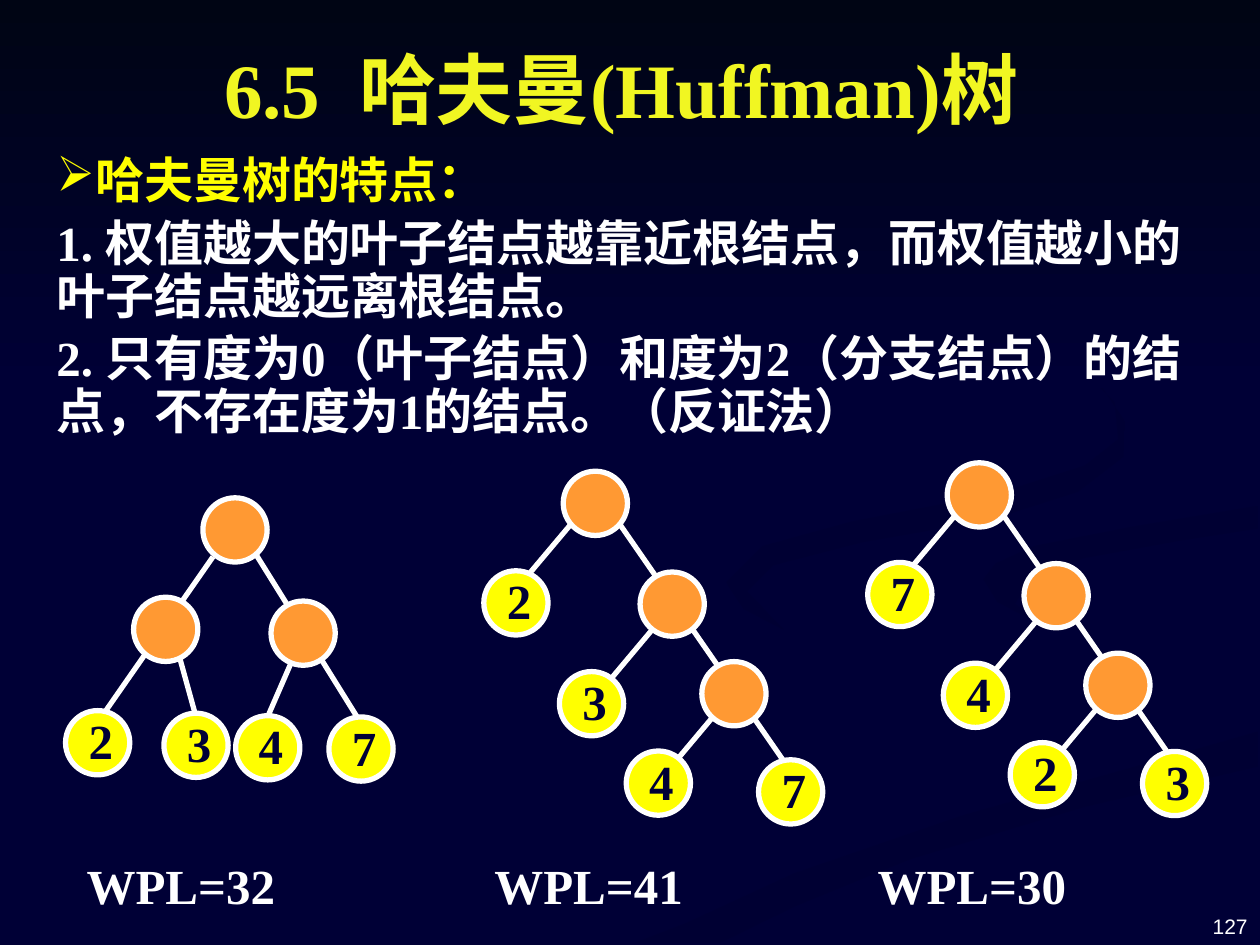
from typing import NamedTuple

from lxml.etree import SubElement
from pptx import Presentation
from pptx.dml.color import RGBColor
from pptx.enum.shapes import MSO_CONNECTOR as Connector, MSO_SHAPE as Preset
from pptx.enum.text import MSO_ANCHOR as Anchor, MSO_AUTO_SIZE as AutoSize, PP_ALIGN as Align
from pptx.oxml.ns import qn
from pptx.util import Pt

COLORS = {
    "night": "000036", "dusk": "000033", "black": "000514", "white": "FFFFFF",
    "title": "F1F622", "yellow": "FFFF00", "orange": "FF9933",
}
SERIF = "Times New Roman"
NODE_SIZE = 36.7
LABEL_WIDTH, LABEL_HEIGHT = 28.8, 41


class Point(NamedTuple):
    x: float
    y: float


class Box(NamedTuple):
    left: float
    top: float
    width: float
    height: float

    def lengths(self):
        return [Pt(value) for value in self]


class Edge(NamedTuple):
    start: Point
    end: Point


class TreeShape(NamedTuple):
    branches: list[Point]
    leaves: list[Point]
    edges: list[Edge]


class Tree(NamedTuple):
    shape: TreeShape
    weights: str
    offset: Point


class Ribbon(NamedTuple):
    first: str
    last: str
    angle: int
    outline: list[tuple[float, float]]


BALANCED = TreeShape(
    [Point(134.3, 302.8), Point(94.7, 359.6), Point(173.2, 361.8)],
    [Point(55.8, 424.4), Point(112, 425.9), Point(153, 427.3), Point(206.3, 428)],
    [Edge(Point(140.4, 307.4), Point(204.5, 410.4)),
     Edge(Point(169.2, 372.2), Point(152.6, 410.4)),
     Edge(Point(100.1, 366.5), Point(111.6, 408.2)),
     Edge(Point(121.7, 318.2), Point(60.5, 406.1))],
)
CHAIN = TreeShape(
    [Point(340.2, 287.6), Point(384.1, 345.2), Point(419.4, 396.4)],
    [Point(294.8, 344.5), Point(338, 402.1), Point(376.2, 447.5), Point(451.8, 452.5)],
    [Edge(Point(330.5, 294.5), Point(300.2, 330.5)),
     Edge(Point(378, 353.5), Point(347.8, 389.5)),
     Edge(Point(414, 401.8), Point(383.8, 437.8)),
     Edge(Point(342.7, 283), Point(449.3, 437))],
)
TREES = [
    Tree(BALANCED, "2347", Point(0, 0)),
    Tree(CHAIN, "2347", Point(0, 0)),
    Tree(CHAIN, "7423", Point(219.4, -4.8)),
]
RIBBONS = [
    Ribbon("night", "dusk", 0, [
        (562, 398), (526, 384), (476, 369), (433, 353), (415, 338), (414, 330), (410, 340),
        (422, 351), (454, 364), (514, 382), (559, 398), (566, 408), (557, 420), (523, 433),
        (444, 453), (359, 475), (271, 509), (216, 539), (260, 539), (336, 504), (428, 472),
        (533, 445), (570, 433), (576, 418)]),
    Ribbon("night", "dusk", 45, [
        (679, 410), (670, 398), (639, 385), (584, 370), (536, 353), (521, 334), (528, 351),
        (562, 373), (603, 386), (648, 401), (661, 418), (644, 436), (675, 424)]),
    Ribbon("dusk", "night", 90, [
        (362, 539), (411, 539), (454, 518), (520, 491), (620, 461), (719, 438), (719, 418),
        (663, 434), (550, 466), (454, 499), (391, 528)]),
    Ribbon("dusk", "night", 45, [
        (562, 331), (570, 344), (595, 357), (580, 345), (588, 332), (619, 319), (674, 309),
        (719, 302), (719, 289), (647, 301), (591, 312), (569, 322)]),
    Ribbon("dusk", "night", 45, [
        (492, 310), (566, 297), (616, 281), (642, 261), (643, 241), (622, 210), (575, 180),
        (549, 168), (609, 201), (637, 230), (639, 251), (620, 266), (570, 282), (487, 298),
        (436, 312), (415, 333), (425, 348), (448, 360), (427, 338), (442, 323)]),
    Ribbon("black", "night", 90, [(0, 0), (0, 222), (720, 222), (720, 0)]),
]


def color(name: str) -> RGBColor:
    return RGBColor.from_string(COLORS[name])


def draw_ribbon(page, ribbon: Ribbon) -> None:
    points = [(Pt(x), Pt(y)) for x, y in ribbon.outline]
    builder = page.shapes.build_freeform(*points[0], scale=1.0)
    builder.add_line_segments(points[1:], close=True)
    shape = builder.convert_to_shape()
    shape.shadow.inherit = False
    shape.line.fill.background()
    shape.fill.gradient()
    shape.fill.gradient_angle = (360 - ribbon.angle) % 360
    for stop, name in zip(shape.fill.gradient_stops, (ribbon.first, ribbon.last)):
        stop.color.rgb = color(name)


def style_para(para, name: str, size: float = 28, font: str = SERIF, bold: bool = True) -> None:
    for span in para.runs:
        span.font.name = font
        span.font.size = Pt(size)
        span.font.bold = bold
        span.font.color.rgb = color(name)


def add_text(page, place: Box, text: str, wrap: bool = True, anchor=Anchor.TOP):
    frame = page.shapes.add_textbox(*place.lengths()).text_frame
    frame.word_wrap = wrap
    frame.vertical_anchor = anchor
    frame.text = text
    return frame


def draw_edge(page, edge: Edge, offset: Point) -> None:
    ends = [Pt(value + shift) for point in edge for value, shift in zip(point, offset)]
    line = page.shapes.add_connector(Connector.STRAIGHT, *ends)
    line.line.color.rgb = color("white")
    line.line.width = Pt(3)
    SubElement(line._element.spPr, qn("a:effectLst"))


def draw_node(page, center: Point, offset: Point, fill: str) -> None:
    left, top = (value + shift - NODE_SIZE / 2 for value, shift in zip(center, offset))
    node = page.shapes.add_shape(Preset.OVAL, *Box(left, top, NODE_SIZE, NODE_SIZE).lengths())
    node.shadow.inherit = False
    node.fill.solid()
    node.fill.fore_color.rgb = color(fill)
    node.line.color.rgb = color("white")
    node.line.width = Pt(3)


def draw_tree(page, tree: Tree) -> None:
    for edge in tree.shape.edges:
        draw_edge(page, edge, tree.offset)
    for center in tree.shape.branches:
        draw_node(page, center, tree.offset, "orange")
    for center, weight in zip(tree.shape.leaves, tree.weights):
        draw_node(page, center, tree.offset, "yellow")
        place = Box(center.x + tree.offset.x + 1.8 - LABEL_WIDTH / 2,
                    center.y + tree.offset.y - 1.4 - LABEL_HEIGHT / 2,
                    LABEL_WIDTH, LABEL_HEIGHT)
        para = add_text(page, place, weight, wrap=False, anchor=Anchor.MIDDLE).paragraphs[0]
        para.alignment = Align.CENTER
        style_para(para, "night")


def write_title(page) -> None:
    title = page.shapes.title
    title.left, title.top, title.width, title.height = Box(31, 11.5, 648, 77).lengths()
    frame = title.text_frame
    frame.auto_size = AutoSize.NONE
    frame.vertical_anchor = Anchor.MIDDLE
    frame.text = "6.5  哈夫曼(Huffman)树"
    frame.paragraphs[0].alignment = Align.CENTER
    style_para(frame.paragraphs[0], "title", size=44)


def write_features(page) -> None:
    frame = add_text(page, Box(25.2, 85.7, 671.8, 172), "\n".join([
        "哈夫曼树的特点：",
        "1. 权值越大的叶子结点越靠近根结点，而权值越小的叶子结点越远离根结点。",
        "2. 只有度为0（叶子结点）和度为2（分支结点）的结点，不存在度为1的结点。（反证法）",
    ]))
    for para, name in zip(frame.paragraphs, ("yellow", "white", "white")):
        para.line_spacing = 0.9
        para.space_before = Pt(5.6)
        style_para(para, name)
    SubElement(frame.paragraphs[0]._p.get_or_add_pPr(), qn("a:buChar"), char="➢")


def write_path_lengths(page) -> None:
    """Weighted path lengths, lined up under the trees by tab stops."""
    para = add_text(page, Box(42.5, 485.3, 656, 41), "WPL=32\tWPL=41\tWPL=30").paragraphs[0]
    stops = SubElement(para._p.get_or_add_pPr(), qn("a:tabLst"))
    for position in (233, 452):
        SubElement(stops, qn("a:tab"), pos=str(Pt(position)), algn="l")
    style_para(para, "white")


def main() -> None:
    deck = Presentation()
    deck.slide_width, deck.slide_height = Pt(720), Pt(540)
    page = deck.slides.add_slide(deck.slide_layouts[5])
    page.background.fill.solid()
    page.background.fill.fore_color.rgb = color("night")
    for ribbon in RIBBONS:
        draw_ribbon(page, ribbon)
    number = add_text(page, Box(552, 502.5, 168, 37.5), "127", anchor=Anchor.BOTTOM).paragraphs[0]
    number.alignment = Align.RIGHT
    style_para(number, "white", size=12, font="Arial", bold=False)
    write_path_lengths(page)
    for tree in TREES:
        draw_tree(page, tree)
    title = page.shapes.title._element
    title.getparent().append(title)
    write_title(page)
    write_features(page)
    deck.save("out.pptx")


if __name__ == "__main__":
    main()
